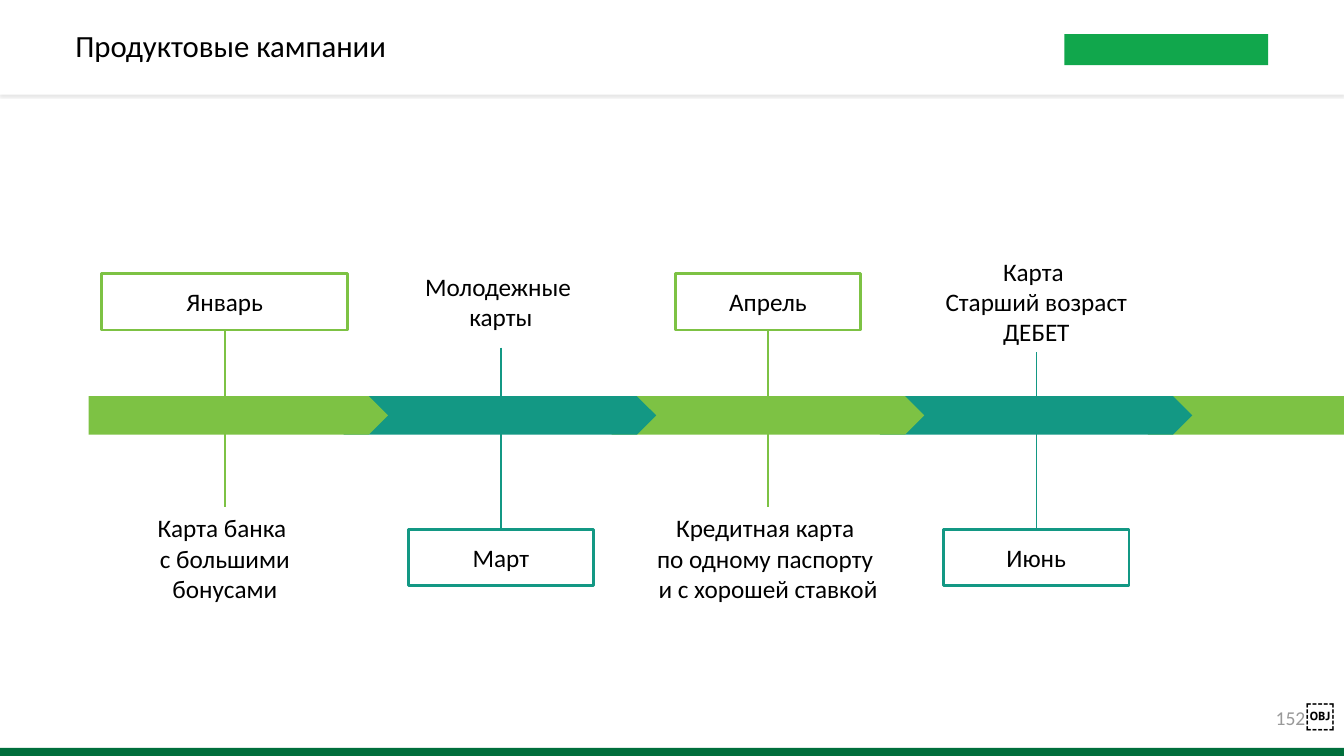
from dataclasses import dataclass

from lxml import etree
from pptx import Presentation
from pptx.dml.color import RGBColor
from pptx.enum.shapes import MSO_CONNECTOR, MSO_SHAPE
from pptx.enum.text import MSO_ANCHOR, PP_ALIGN
from pptx.oxml.ns import qn
from pptx.util import Pt

RECTANGLE, PENTAGON = MSO_SHAPE.RECTANGLE, MSO_SHAPE.PENTAGON
STRAIGHT = MSO_CONNECTOR.STRAIGHT
MIDDLE = MSO_ANCHOR.MIDDLE
LEFT, CENTER = PP_ALIGN.LEFT, PP_ALIGN.CENTER


@dataclass(frozen=True)
class Theme:
    lime: str = "7DC244"
    teal: str = "139884"
    emblem: str = "11A74C"
    footer: str = "006F3C"
    white: str = "FFFFFF"
    black: str = "000000"
    grey: str = "999999"
    shadow: str = "8A8A8A"
    font: str = "Calibri"
    mark_font: str = "Cabin"
    title_size: float = 22
    body_size: float = 18
    number_size: float = 14
    mark_size: float = 21


@dataclass(frozen=True)
class Milestone:
    month: str
    label: str
    center: float
    color: str
    month_above: bool
    month_width: float = 132.5
    label_height: float = 72.7


THEME = Theme()
PAGE_WIDTH, PAGE_HEIGHT = 960, 540
HEADER_HEIGHT = 67.7
BAND_TOP, BAND_HEIGHT = 283, 27.4
BAND_LEFT, SECOND_LEFT, PLATE_STEP, PLATE_WIDTH = 63.4, 245.5, 191.5, 223.2
MONTH_HEIGHT, MONTH_UPPER, MONTH_LOWER = 40.3, 195.5, 378
LABEL_WIDTH, LABEL_UPPER_CENTER, LABEL_LOWER_CENTER = 176, 215.2, 398.5

MILESTONES = [
    Milestone("Январь", "Карта банка \vc большими бонусами", 160.6, THEME.lime, True,
              month_width=175.7),
    Milestone("Март", "Молодежные \vкарты", 357.8, THEME.teal, False, label_height=66.2),
    Milestone("Апрель", "Кредитная карта \vпо одному паспорту \vи с хорошей ставкой",
              548.6, THEME.lime, True),
    Milestone("Июнь", "Карта \vСтарший возраст ДЕБЕТ", 740.2, THEME.teal, False),
]


def rgb(color: str) -> RGBColor:
    return RGBColor.from_string(color)


def format_span(span, size: float, color: str, font: str = THEME.font) -> None:
    span.font.size = Pt(size)
    span.font.name = font
    span.font.color.rgb = rgb(color)


def write_text(box, text: str, *, size: float = THEME.body_size, color: str = THEME.black,
               align=CENTER, wrap: bool = True):
    frame = box.text_frame
    frame.word_wrap = wrap
    frame.vertical_anchor = MIDDLE
    para = frame.paragraphs[0]
    para.text = text
    para.alignment = align
    for span in para.runs:
        format_span(span, size, color)
    return para


def add_box(page, kind, left: float, top: float, width: float, height: float, *,
            fill: str | None = None, line: str | None = None):
    box = page.shapes.add_shape(kind, Pt(left), Pt(top), Pt(width), Pt(height))
    box.shadow.inherit = False
    if fill:
        box.fill.solid()
        box.fill.fore_color.rgb = rgb(fill)
    else:
        box.fill.background()
    if line:
        box.line.color.rgb = rgb(line)
        box.line.width = Pt(2)
    else:
        box.line.fill.background()
    return box


def add_text(page, left: float, top: float, width: float, height: float, text: str, **style):
    box = page.shapes.add_textbox(Pt(left), Pt(top), Pt(width), Pt(height))
    return box, write_text(box, text, **style)


def add_line(page, x: float, top: float, bottom: float, color: str) -> None:
    line = page.shapes.add_connector(STRAIGHT, Pt(x), Pt(top), Pt(x), Pt(bottom))
    line.line.color.rgb = rgb(color)
    line.line.width = Pt(1)
    etree.SubElement(line._element.spPr, qn("a:effectLst"))


def add_soft_shadow(box) -> None:
    effects = box._element.spPr.find(qn("a:effectLst"))
    shadow = etree.SubElement(effects, qn("a:outerShdw"), blurRad=str(Pt(1)),
                              dist=str(Pt(2)), dir="5400000", algn="t", rotWithShape="0")
    color = etree.SubElement(shadow, qn("a:srgbClr"), val=THEME.shadow)
    etree.SubElement(color, qn("a:alpha"), val="20000")


def draw_frame(page) -> None:
    # Footer strip and page number
    add_box(page, RECTANGLE, 0, 534.2, PAGE_WIDTH, PAGE_HEIGHT - 534.2, fill=THEME.footer)
    number, para = add_text(page, 905, 497.5, 54.7, 25.2, "152", size=THEME.number_size,
                            color=THEME.grey, wrap=False)
    frame = number.text_frame
    frame.margin_left = frame.margin_right = frame.margin_top = frame.margin_bottom = 0
    mark = para.add_run()
    mark.text = "￼"
    format_span(mark, THEME.mark_size, THEME.black, THEME.mark_font)

    # Header with title and emblem block
    header = add_box(page, RECTANGLE, 0, 0, PAGE_WIDTH, HEADER_HEIGHT, fill=THEME.white)
    add_soft_shadow(header)
    add_box(page, RECTANGLE, 760.3, 24.5, 145.5, 22, fill=THEME.emblem)
    title, para = add_text(page, 46.8, 0, 708.5, HEADER_HEIGHT, "Продуктовые кампании",
                           size=THEME.title_size, align=LEFT)
    para.line_spacing = 0.9


def draw_band(page) -> None:
    # Later plates lie beneath earlier ones; the last runs to the page edge
    last_left = SECOND_LEFT + 3 * PLATE_STEP
    add_box(page, RECTANGLE, last_left, BAND_TOP, PAGE_WIDTH - last_left, BAND_HEIGHT,
            fill=THEME.lime)
    for index in reversed(range(len(MILESTONES))):
        left = SECOND_LEFT + (index - 1) * PLATE_STEP if index else BAND_LEFT
        right = SECOND_LEFT + (index - 1) * PLATE_STEP + PLATE_WIDTH
        add_box(page, PENTAGON, left, BAND_TOP, right - left, BAND_HEIGHT,
                fill=MILESTONES[index].color)


def draw_milestone(page, item: Milestone) -> None:
    month_top = MONTH_UPPER if item.month_above else MONTH_LOWER
    label_center = LABEL_LOWER_CENTER if item.month_above else LABEL_UPPER_CENTER
    label_top = label_center - item.label_height / 2
    month = add_box(page, RECTANGLE, item.center - item.month_width / 2, month_top,
                    item.month_width, MONTH_HEIGHT, line=item.color)
    write_text(month, item.month)
    add_text(page, item.center - LABEL_WIDTH / 2, label_top, LABEL_WIDTH,
             item.label_height, item.label)
    if item.month_above:
        add_line(page, item.center, month_top + MONTH_HEIGHT, label_top, item.color)
    else:
        add_line(page, item.center, label_top + item.label_height, month_top, item.color)


def main() -> None:
    deck = Presentation()
    deck.slide_width, deck.slide_height = Pt(PAGE_WIDTH), Pt(PAGE_HEIGHT)
    page = deck.slides.add_slide(deck.slide_layouts[6])
    draw_frame(page)
    draw_band(page)
    for item in MILESTONES:
        draw_milestone(page, item)
    deck.save("out.pptx")


if __name__ == "__main__":
    main()
